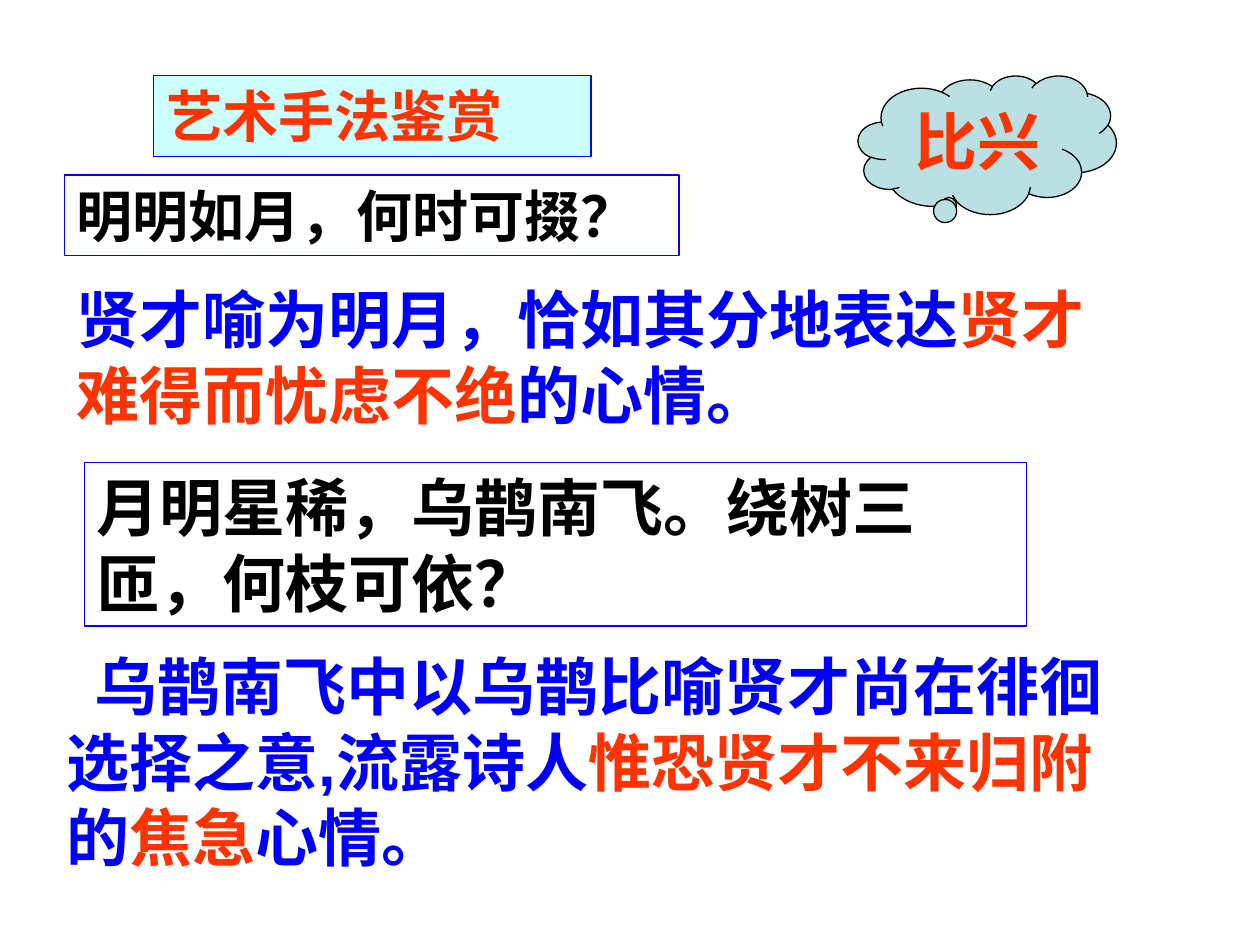
from dataclasses import dataclass
from typing import Optional

from pptx import Presentation
from pptx.dml.color import RGBColor
from pptx.enum.shapes import MSO_SHAPE
from pptx.enum.text import MSO_ANCHOR, MSO_AUTO_SIZE, PP_ALIGN
from pptx.util import Inches, Pt

RECTANGLE = MSO_SHAPE.RECTANGLE
CLOUD = MSO_SHAPE.CLOUD_CALLOUT
TOP = MSO_ANCHOR.TOP
LEFT = PP_ALIGN.LEFT
CENTER = PP_ALIGN.CENTER
GROW = MSO_AUTO_SIZE.SHAPE_TO_FIT_TEXT
FIXED = MSO_AUTO_SIZE.NONE
TITLE_ONLY = 5


@dataclass(frozen=True)
class Theme:
    font: str = "Arial"
    small: float = 32
    large: float = 36
    border: float = 0.75
    black: str = "000000"
    blue: str = "0000FF"
    red: str = "FF3300"
    title_fill: str = "CCFFFF"
    cloud_fill: str = "BBE0E3"


THEME = Theme()


@dataclass(frozen=True)
class Span:
    text: str
    color: str


@dataclass(frozen=True)
class Box:
    left: float
    top: float
    width: float
    height: float
    spans: tuple[Span, ...]
    size: float = THEME.large
    fill: Optional[str] = None
    line: Optional[str] = None
    align: PP_ALIGN = LEFT
    auto_size: MSO_AUTO_SIZE = GROW
    indent: float = 0


TITLE = Box(1.22, 0.6, 3.47, 0.64, (Span("艺术手法鉴赏", THEME.red),),
            size=THEME.small, fill=THEME.title_fill, line=THEME.blue,
            auto_size=FIXED)

QUOTES = (
    Box(0.51, 1.39, 4.88, 0.64, (Span("明明如月，何时可掇？", THEME.black),),
        size=THEME.small, line=THEME.blue),
    Box(0.67, 3.67, 7.48, 1.3,
        (Span("月明星稀，乌鹊南飞。绕树三匝，何枝可依？", THEME.black),),
        line=THEME.blue),
)

COMMENTS = (
    Box(0.51, 2.18, 8.66, 1.3, (
        Span("贤才喻为明月，恰如其分地表达", THEME.blue),
        Span("贤才难得而忧虑不绝", THEME.red),
        Span("的心情。", THEME.blue),
    )),
    Box(0.43, 5.09, 8.43, 1.9, (
        Span("乌鹊南飞中以乌鹊比喻贤才尚在徘徊选择之意,流露诗人", THEME.blue),
        Span("惟恐贤才不来归附", THEME.red),
        Span("的", THEME.blue),
        Span("焦急", THEME.red),
        Span("心情。", THEME.blue),
    ), indent=0.22),
)

TECHNIQUE = Box(6.81, 0.6, 2.05, 1.1, (Span("比兴", THEME.red),),
                fill=THEME.cloud_fill, line=THEME.black,
                align=CENTER, auto_size=FIXED)


def place(box: Box) -> tuple[int, ...]:
    return tuple(Inches(n) for n in (box.left, box.top, box.width, box.height))


def write_text(shape, box: Box) -> None:
    frame = shape.text_frame
    frame.word_wrap = True
    frame.auto_size = box.auto_size
    frame.vertical_anchor = TOP
    paragraph = frame.paragraphs[0]
    paragraph.alignment = box.align
    properties = paragraph._p.get_or_add_pPr()
    properties.set("hangingPunct", "0")
    if box.indent:
        properties.set("marL", "0")
        properties.set("indent", str(Inches(box.indent)))
    paragraph.font.name = THEME.font
    paragraph.font.size = Pt(box.size)
    paragraph.font.bold = True
    for span in box.spans:
        run = paragraph.add_run()
        run.text = span.text
        run.font.color.rgb = RGBColor.from_string(span.color)


def paint(shape, box: Box) -> None:
    if box.fill:
        shape.fill.solid()
        shape.fill.fore_color.rgb = RGBColor.from_string(box.fill)
    else:
        shape.fill.background()
    shape.line.color.rgb = RGBColor.from_string(box.line)
    shape.line.width = Pt(THEME.border)


def draw_title(slide, box: Box) -> None:
    title = slide.shapes.title
    title.left, title.top, title.width, title.height = place(box)
    paint(title, box)
    write_text(title, box)


def draw_shape(slide, kind: MSO_SHAPE, box: Box):
    shape = slide.shapes.add_shape(kind, *place(box))
    shape.shadow.inherit = False
    paint(shape, box)
    write_text(shape, box)
    return shape


def draw_comment(slide, box: Box) -> None:
    write_text(slide.shapes.add_textbox(*place(box)), box)


def main() -> None:
    deck = Presentation()
    deck.slide_width, deck.slide_height = Inches(10), Inches(7.5)
    page = deck.slides.add_slide(deck.slide_layouts[TITLE_ONLY])
    draw_title(page, TITLE)
    for quote in QUOTES:
        draw_shape(page, RECTANGLE, quote)
    for comment in COMMENTS:
        draw_comment(page, comment)
    cloud = draw_shape(page, CLOUD, TECHNIQUE)
    cloud.adjustments[0] = -0.15
    cloud.adjustments[1] = 0.44
    deck.save("out.pptx")


if __name__ == "__main__":
    main()
